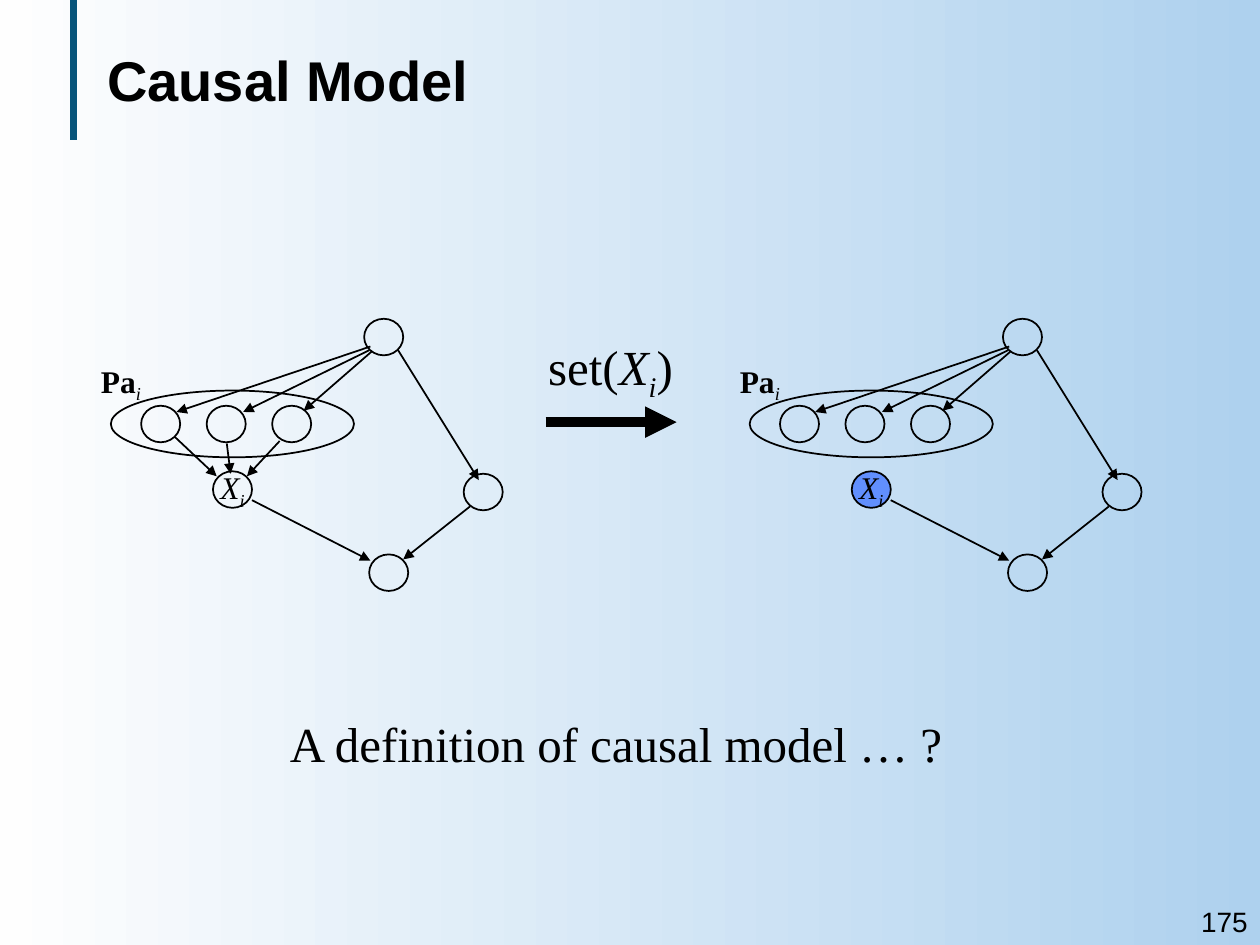
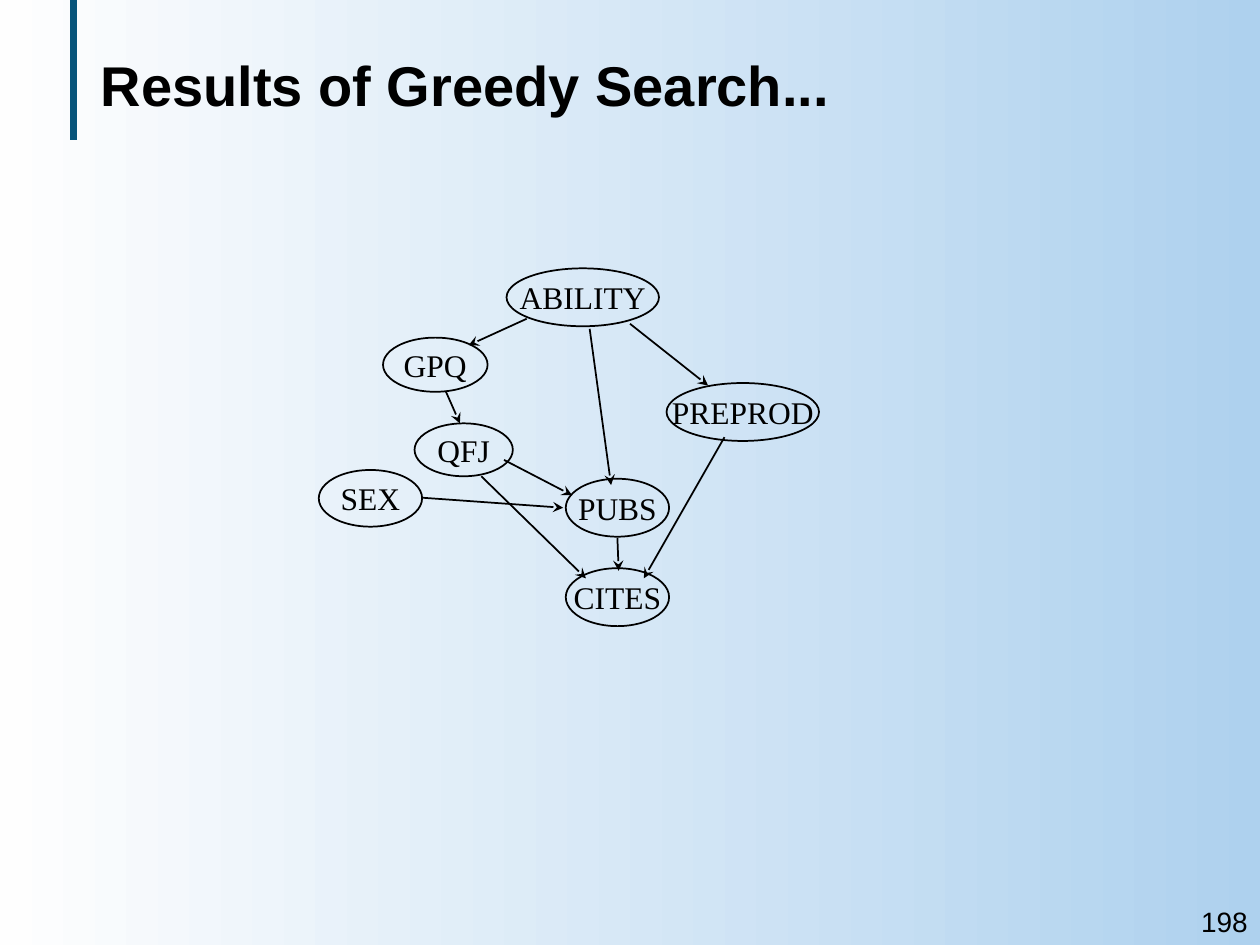
from dataclasses import dataclass

from lxml import etree
from pptx import Presentation
from pptx.dml.color import RGBColor as RGB
from pptx.enum.shapes import MSO_CONNECTOR as Conn, MSO_SHAPE as Shape
from pptx.enum.text import MSO_ANCHOR as Anchor, MSO_AUTO_SIZE as AutoSize, PP_ALIGN as Align
from pptx.oxml.ns import qn
from pptx.util import Inches, Pt


@dataclass(frozen=True)
class Theme:
    ink: RGB = RGB(0x00, 0x00, 0x00)
    accent: RGB = RGB(0x07, 0x54, 0x7A)
    set_node: RGB = RGB(0x61, 0x8F, 0xFD)
    back_right: RGB = RGB(0xAE, 0xD1, 0xEE)
    back_left: RGB = RGB(0xFE, 0xFE, 0xFE)
    sans: str = "Arial"
    serif: str = "Times New Roman"
    title: int = 32
    large: int = 28
    label: int = 18
    number: int = 16
    thin: float = 1
    rule: float = 4
    thick: float = 6


T = Theme()
LABEL = {"name": T.serif, "size": Pt(T.label)}
LARGE = {"name": T.serif, "size": Pt(T.large)}
TITLE = {"name": T.sans, "size": Pt(T.title), "bold": True}
NUMBER = {"name": T.sans, "size": Pt(T.number)}

ITALIC = {"italic": True}
SUBSCRIPT = {"italic": True, "baseline": -25000}
X_I = [("X", ITALIC), ("i", SUBSCRIPT)]
PA_I = [("Pa", {"bold": True}), ("i", SUBSCRIPT)]

# The causal network: all small nodes share one size
NODE_W, NODE_H = 0.31, 0.29
PARENTS = [(1.12 + 0.52 * i, 3.22) for i in range(3)]
OTHER_NODES = [(2.89, 2.53), (3.68, 3.76), (2.93, 4.4)]
X_NODE = (1.69, 3.74)
PARENT_ARROWS = [
    (1.39, 3.47, 1.72, 3.78),
    (1.8, 3.52, 1.83, 3.76),
    (2.22, 3.5, 1.96, 3.78),
]
COMMON_ARROWS = [
    (2, 3.97, 2.94, 4.45),
    (2.95, 2.79, 2.41, 3.26),
    (2.94, 2.75, 1.4, 3.27),
    (2.93, 2.78, 1.93, 3.27),
    (3.16, 2.78, 3.8, 3.81),
    (3.73, 4.02, 3.2, 4.44),
]
NETWORK_SHIFT = 5.07

VARIABLES = {
    "GPQ": (3.04, 2.68, 0.83, 0.43),
    "ABILITY": (4.02, 2.13, 1.21, 0.46),
    "QFJ": (3.29, 3.36, 0.78, 0.42),
    "PREPROD": (5.29, 3.04, 1.21, 0.46),
    "SEX": (2.53, 3.73, 0.82, 0.45),
    "CITES": (4.49, 4.51, 0.82, 0.46),
    "PUBS": (4.49, 3.8, 0.82, 0.46),
}
SEARCH_ARROWS = [
    (3.54, 3.11, 3.65, 3.36),
    (5, 2.57, 5.62, 3.06),
    (4.9, 4.27, 4.91, 4.53),
    (4.68, 2.61, 4.85, 3.85),
    (4.18, 2.53, 3.72, 2.74),
    (5.75, 3.47, 5.11, 4.59),
    (4, 3.65, 4.54, 3.93),
    (3.35, 3.95, 4.47, 4.03),
    (3.82, 3.78, 4.65, 4.59),
]


def write(tf, runs, base, align=Align.CENTER, wrap=False):
    """Fill a text frame with (text, format) runs laid over a base format."""
    tf.word_wrap = wrap
    tf.vertical_anchor = Anchor.MIDDLE
    p = tf.paragraphs[0]
    p.alignment = align
    for text, extra in runs:
        r = p.add_run()
        r.text = text
        r.font.color.rgb = T.ink
        for name, value in {**base, **extra}.items():
            if name == "baseline":
                r._r.get_or_add_rPr().set(name, str(value))
            else:
                setattr(r.font, name, value)


def add_text(shapes, box, runs, base, **layout):
    sp = shapes.add_textbox(*map(Inches, box))
    write(sp.text_frame, runs, base, **layout)


def add_ellipse(shapes, box, runs=(), fill=None):
    sp = shapes.add_shape(Shape.OVAL, *map(Inches, box))
    sp.shadow.inherit = False
    if fill is None:
        sp.fill.background()
    else:
        sp.fill.solid()
        sp.fill.fore_color.rgb = fill
    sp.line.color.rgb = T.ink
    sp.line.width = Pt(T.thin)
    if runs:
        write(sp.text_frame, runs, LABEL)


def add_line(shapes, ends, color=T.ink, width=T.thin, head=None):
    """Draw a line through ends (x1, y1, x2, y2), with an optional arrowhead."""
    line = shapes.add_connector(Conn.STRAIGHT, *map(Inches, ends))
    line.line.color.rgb = color
    line.line.width = Pt(width)
    if head:
        etree.SubElement(line.line._get_or_add_ln(), qn("a:tailEnd"), type=head)
    etree.SubElement(line._element.spPr, qn("a:effectLst"))


def set_background(master):
    fill = master.background.fill
    fill.gradient()
    fill.gradient_angle = 180
    for stop, color in zip(fill.gradient_stops, (T.back_right, T.back_left)):
        stop.color.rgb = color


def add_slide(prs, title, title_box, number):
    s = prs.slides.add_slide(prs.slide_layouts[5])
    add_line(s.shapes, (0.58, 0, 0.58, 1.11), T.accent, T.rule)
    sp = s.shapes.title
    sp.left, sp.top, sp.width, sp.height = map(Inches, title_box)
    sp.text_frame.auto_size = AutoSize.NONE
    write(sp.text_frame, [(title, {})], TITLE, Align.LEFT, wrap=True)
    add_text(s.shapes, (8.99, 7.13, 1.01, 0.37), [(number, {})], NUMBER,
             align=Align.RIGHT, wrap=True)
    return s


def add_network(s, dx=0, intervened=False):
    """Draw the causal network; an intervention fills X and cuts its parents off."""
    shapes = s.shapes.add_group_shape().shapes

    def node(place, **style):
        x, y = place
        add_ellipse(shapes, (x + dx, y, NODE_W, NODE_H), **style)

    node(X_NODE, runs=X_I, fill=T.set_node if intervened else None)
    add_ellipse(shapes, (0.88 + dx, 3.1, 1.93, 0.53))
    add_text(shapes, (0.7 + dx, 2.82, 0.52, 0.44), PA_I, LABEL)
    for place in PARENTS + OTHER_NODES:
        node(place)
    arrows = COMMON_ARROWS if intervened else PARENT_ARROWS + COMMON_ARROWS
    for x1, y1, x2, y2 in arrows:
        add_line(shapes, (x1 + dx, y1, x2 + dx, y2), head="triangle")


def add_causal_model(prs):
    s = add_slide(prs, "Causal Model", (0.75, 0, 7.83, 1.25), "175")
    add_network(s)
    add_network(s, NETWORK_SHIFT, intervened=True)
    add_line(s.shapes, (4.33, 3.35, 5.37, 3.35), width=T.thick, head="triangle")
    add_text(s.shapes, (4.25, 2.62, 1.19, 0.63),
             [("set(", {}), *X_I, (")", {})], LARGE)
    add_text(s.shapes, (2.19, 5.61, 5.4, 0.57),
             [("A definition of causal model … ?", {})], LARGE)


def add_greedy_search(prs):
    s = add_slide(prs, "Results of Greedy Search...", (0.7, 0, 8.4, 1.34), "198")
    for name, box in VARIABLES.items():
        add_ellipse(s.shapes, box, [(name, {})])
    for ends in SEARCH_ARROWS:
        add_line(s.shapes, ends, head="stealth")


def main():
    prs = Presentation()
    prs.slide_width, prs.slide_height = Inches(10), Inches(7.5)
    set_background(prs.slide_master)
    add_causal_model(prs)
    add_greedy_search(prs)
    prs.save("out.pptx")


if __name__ == "__main__":
    main()
